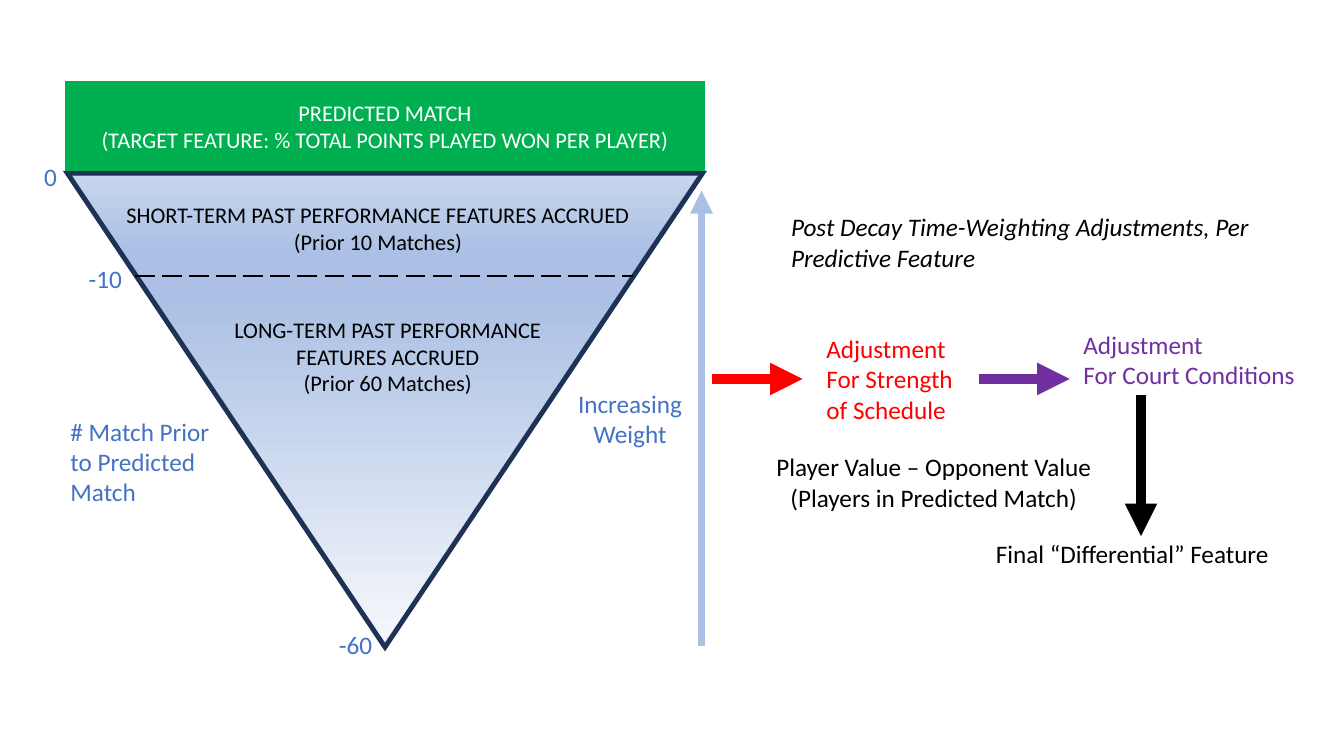
from dataclasses import dataclass

from lxml.etree import SubElement
from pptx import Presentation
from pptx.dml.color import RGBColor
from pptx.enum.dml import MSO_LINE
from pptx.enum.shapes import MSO_CONNECTOR, MSO_SHAPE
from pptx.enum.text import MSO_ANCHOR, PP_ALIGN
from pptx.oxml.ns import qn
from pptx.util import Pt

BLACK = RGBColor(0x00, 0x00, 0x00)
WHITE = RGBColor(0xFF, 0xFF, 0xFF)
GREEN = RGBColor(0x00, 0xB0, 0x50)
BLUE = RGBColor(0x44, 0x72, 0xC4)
LIGHT_BLUE = RGBColor(0xAB, 0xC0, 0xE4)
PALE_BLUE = RGBColor(0xC7, 0xD5, 0xED)
MIST = RGBColor(0xF6, 0xF8, 0xFC)
NAVY = RGBColor(0x1E, 0x32, 0x56)
RED = RGBColor(0xFF, 0x00, 0x00)
PURPLE = RGBColor(0x70, 0x30, 0xA0)

FONT = "Calibri"
OUTLINE = 3.5
FUNNEL_LEFT, FUNNEL_WIDTH = 48.2, 453.6
FLOW_Y = 270.7  # height of the two adjustment arrows
FLOW_LENGTH = 65
FLOW_WEIGHT = 7.75


@dataclass(frozen=True)
class Label:
    left: float
    top: float
    width: float
    height: float
    lines: tuple[str, ...]
    color: RGBColor = BLACK
    size: float = 18
    align: PP_ALIGN = PP_ALIGN.LEFT
    italic: bool = False


@dataclass(frozen=True)
class Line:
    start: tuple[float, float]
    end: tuple[float, float]
    color: RGBColor
    weight: float
    arrow: bool = True


LINES = (
    Line((96.5, 197.3), (452.2, 197.3), BLACK, 1.75, arrow=False),
    Line((501.1, 461.5), (501.1, 136.1), LIGHT_BLUE, 5.5),
    Line((508.3, FLOW_Y), (508.3 + FLOW_LENGTH, FLOW_Y), RED, FLOW_WEIGHT),
    Line((699.1, FLOW_Y), (699.1 + FLOW_LENGTH, FLOW_Y), PURPLE, FLOW_WEIGHT),
    Line((815, 282.2), (815, 383), BLACK, FLOW_WEIGHT),
)

LABELS = (
    # Match scale beside the funnel
    Label(24.5, 111.6, 26, 29, ("0",), BLUE),
    Label(56.2, 184.3, 45, 29, ("-10",), BLUE),
    Label(235, 445.7, 45, 29, ("-60",), BLUE),
    Label(43.2, 293.8, 116.6, 73, ("# Match Prior to Predicted Match",), BLUE),
    Label(405, 273.6, 90, 51, ("Increasing", "Weight"), BLUE, align=PP_ALIGN.CENTER),
    # Funnel sections
    Label(75, 140.4, 390, 46,
          ("SHORT-TERM PAST PERFORMANCE FEATURES ACCRUED", "(Prior 10 Matches)"),
          size=16, align=PP_ALIGN.CENTER),
    Label(152, 222, 250, 65.5,
          ("LONG-TERM PAST PERFORMANCE", "FEATURES ACCRUED", "(Prior 60 Matches)"),
          size=16, align=PP_ALIGN.CENTER),
    # Adjustment flow
    Label(558, 147.6, 360, 51,
          ("Post Decay Time-Weighting Adjustments, Per", "Predictive Feature"),
          italic=True),
    Label(583.2, 234.7, 115, 73, ("Adjustment", "For Strength", "of Schedule"), RED),
    Label(766.8, 231.8, 175, 51, ("Adjustment", "For Court Conditions"), PURPLE),
    Label(537, 319, 260, 51,
          ("Player Value – Opponent Value", "(Players in Predicted Match)"),
          align=PP_ALIGN.CENTER),
    Label(704.2, 380.9, 222, 29, ("Final “Differential” Feature",)),
)


def write_text(frame, label: Label) -> None:
    frame.word_wrap = True
    for index, text in enumerate(label.lines):
        paragraph = frame.paragraphs[0] if index == 0 else frame.add_paragraph()
        paragraph.alignment = label.align
        run = paragraph.add_run()
        run.text = text
        run.font.name = FONT
        run.font.size = Pt(label.size)
        run.font.italic = label.italic
        run.font.color.rgb = label.color


def add_label(slide, label: Label) -> None:
    box = slide.shapes.add_textbox(
        Pt(label.left), Pt(label.top), Pt(label.width), Pt(label.height))
    write_text(box.text_frame, label)


def add_line(slide, line: Line) -> None:
    connector = slide.shapes.add_connector(
        MSO_CONNECTOR.STRAIGHT, *map(Pt, line.start + line.end))
    connector.line.color.rgb = line.color
    connector.line.width = Pt(line.weight)
    if line.arrow:
        SubElement(connector.line._get_or_add_ln(), qn("a:tailEnd"), type="triangle")
    else:
        connector.line.dash_style = MSO_LINE.LONG_DASH
    SubElement(connector._element.spPr, qn("a:effectLst"))


def add_block(slide, kind: MSO_SHAPE, top: float, height: float, outline: RGBColor):
    shape = slide.shapes.add_shape(
        kind, Pt(FUNNEL_LEFT), Pt(top), Pt(FUNNEL_WIDTH), Pt(height))
    shape.shadow.inherit = False
    shape.line.color.rgb = outline
    shape.line.width = Pt(OUTLINE)
    SubElement(shape.line._get_or_add_ln(), qn("a:miter"), lim="800000")
    return shape


def fill_gradient(shape, stops: tuple[tuple[int, RGBColor], ...]) -> None:
    shape.fill.gradient()
    shape.fill.gradient_angle = 270
    stop_list = shape._element.spPr.find(qn("a:gradFill")).find(qn("a:gsLst"))
    for old_stop in list(stop_list):
        stop_list.remove(old_stop)
    for percent, color in stops:
        stop = SubElement(stop_list, qn("a:gs"), pos=str(percent * 1000))
        SubElement(stop, qn("a:srgbClr"), val=str(color))


presentation = Presentation()
presentation.slide_width, presentation.slide_height = Pt(960), Pt(540)
slide = presentation.slides.add_slide(presentation.slide_layouts[6])

# Funnel of past matches, pointing down
funnel = add_block(slide, MSO_SHAPE.ISOSCELES_TRIANGLE, 123.8, 338.4, NAVY)
funnel.rotation = 180
fill_gradient(funnel, ((0, MIST), (74, LIGHT_BLUE), (83, LIGHT_BLUE), (100, PALE_BLUE)))

# Predicted match banner
banner = add_block(slide, MSO_SHAPE.RECTANGLE, 59.8, 60.5, GREEN)
banner.fill.solid()
banner.fill.fore_color.rgb = GREEN
banner.text_frame.vertical_anchor = MSO_ANCHOR.MIDDLE
write_text(banner.text_frame, Label(
    FUNNEL_LEFT, 59.8, FUNNEL_WIDTH, 60.5,
    ("PREDICTED MATCH", "(TARGET FEATURE: % TOTAL POINTS PLAYED WON PER PLAYER)"),
    WHITE, 16, PP_ALIGN.CENTER))

# Divider, arrows and labels
for line in LINES:
    add_line(slide, line)
for label in LABELS:
    add_label(slide, label)

presentation.save("out.pptx")
